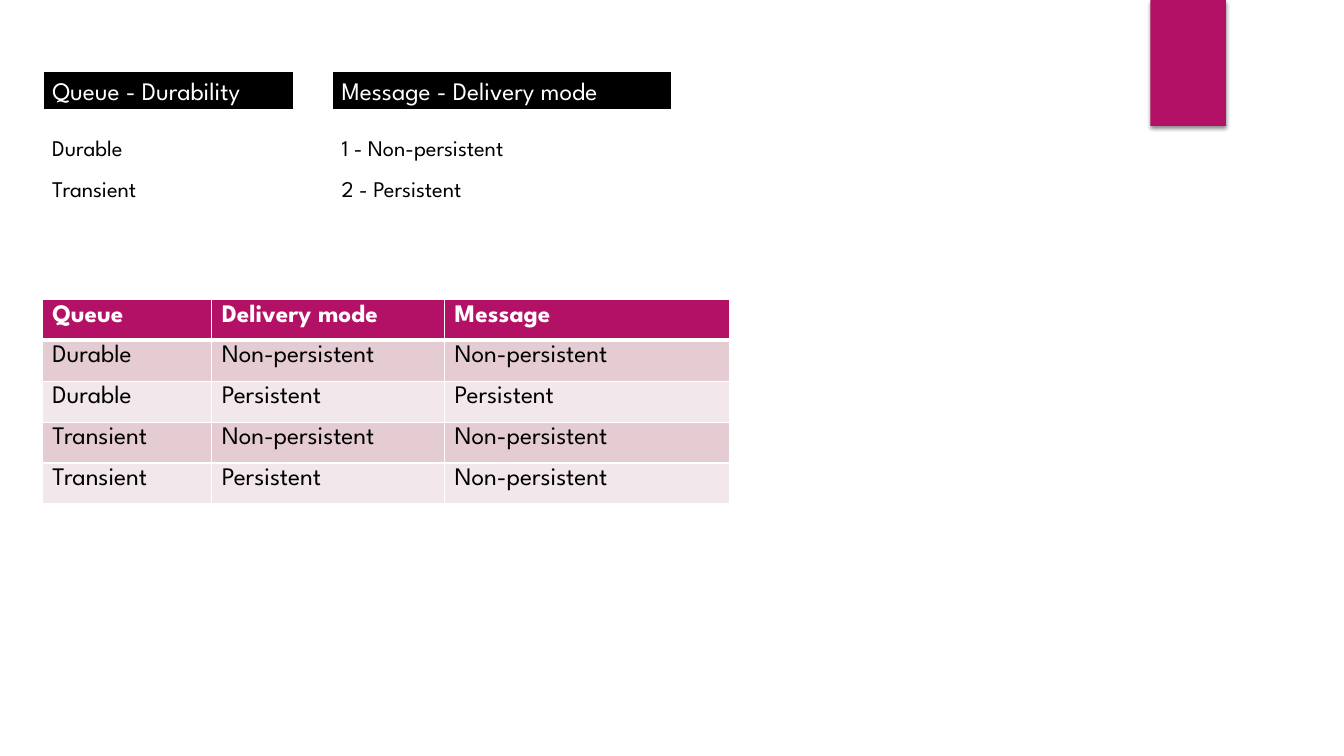
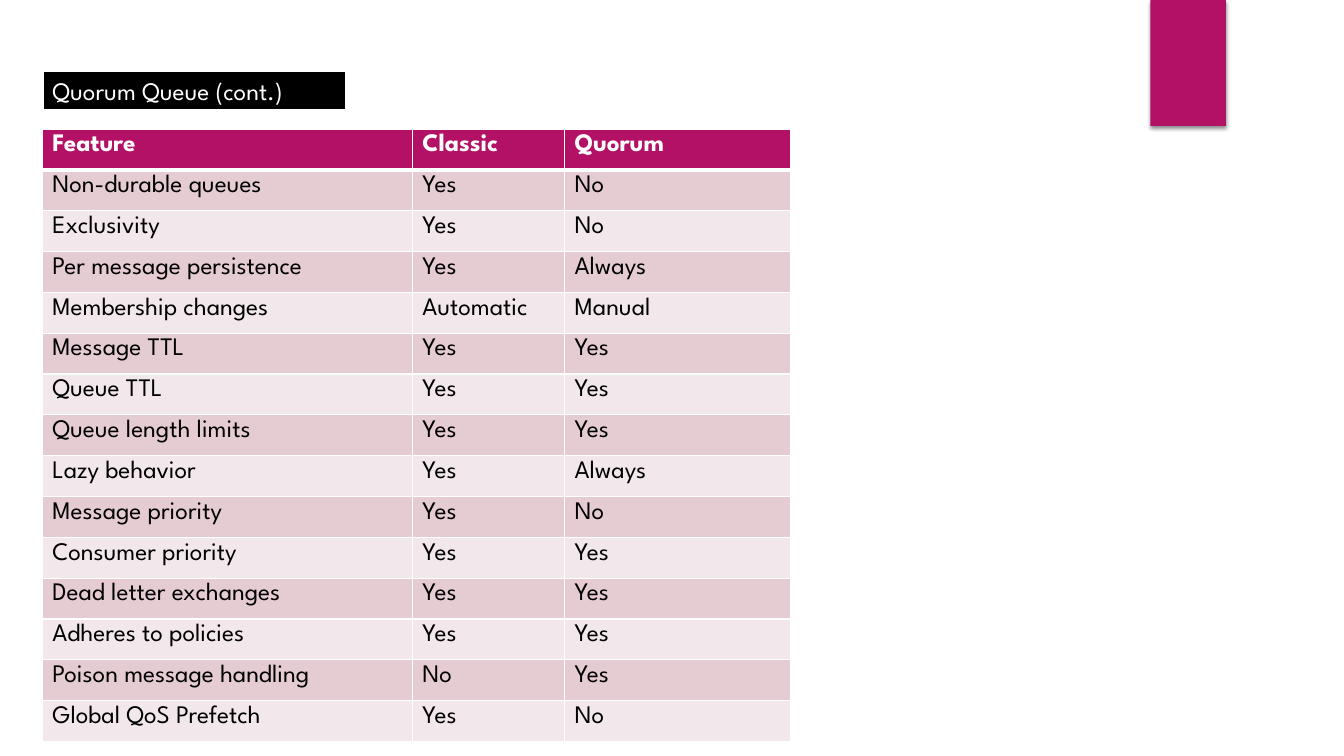
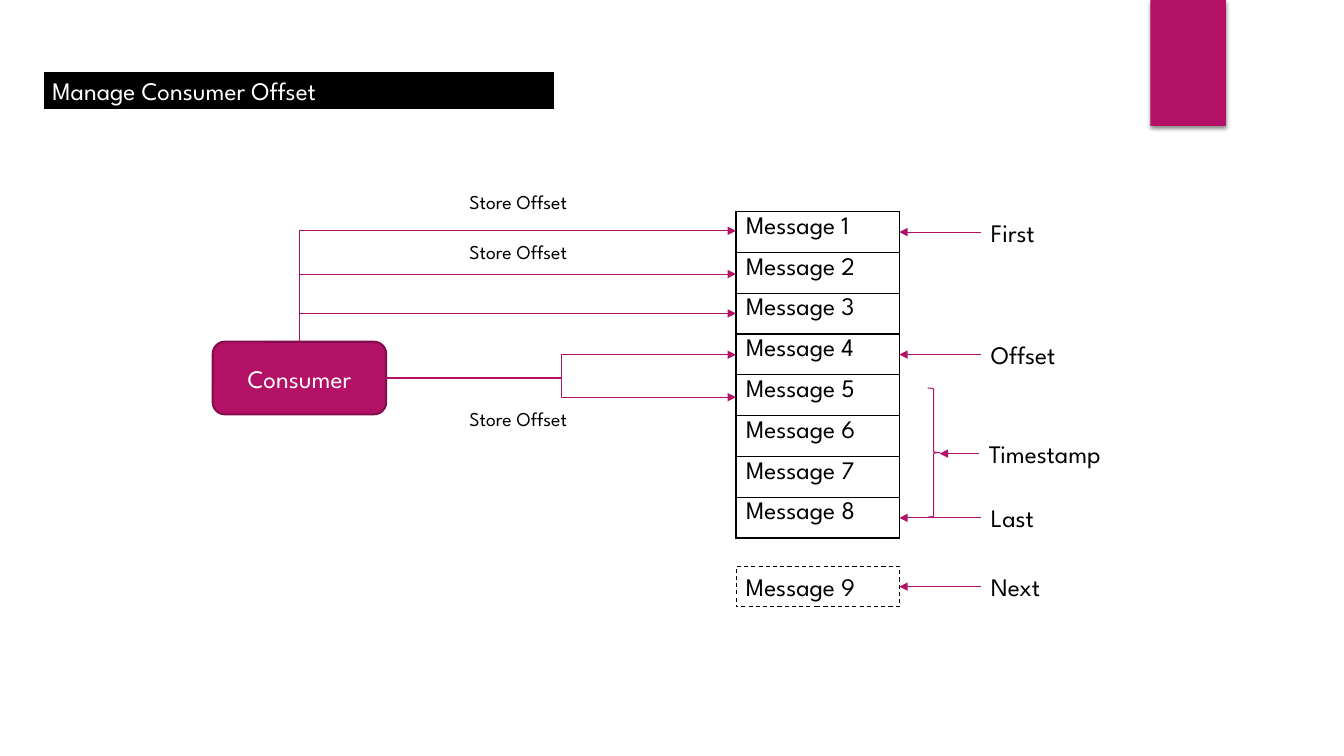
from dataclasses import dataclass

from lxml import etree
from pptx import Presentation
from pptx import util as u
from pptx.dml.color import RGBColor
from pptx.enum import dml, shapes, text
from pptx.oxml import parse_xml
from pptx.oxml.ns import nsdecls, qn


@dataclass(frozen=True)
class Theme:
    font: str = "League Spartan"
    accent: str = "B31166"
    accent_dark: str = "840D4B"
    band_odd: str = "E5CCD3"
    band_even: str = "F2E7EA"
    black: str = "000000"
    white: str = "FFFFFF"
    heading: int = 18
    option: int = 16
    caption: int = 14


T = Theme()
RGB = RGBColor.from_string
I = u.Inches
LEFT, BAR_TOP, BOX_H = 0.42, 0.7, 0.4


def put_text(tf, words, size=T.heading, color=T.black, bold=False,
             align=text.PP_ALIGN.LEFT):
    """Write one formatted line into a text frame."""
    tf.word_wrap = True
    p = tf.paragraphs[0]
    p.alignment = align
    r = p.add_run()
    r.text = words
    r.font.name, r.font.size, r.font.bold = T.font, u.Pt(size), bold
    r.font.color.rgb = RGB(color)


def add_grid(s, left, top, widths, height, rows, border, header=True):
    """Add a table with equal rows, drawn borders and optional header."""
    tbl = s.shapes.add_table(len(rows), len(widths), I(left), I(top),
                             I(sum(widths)), I(height)).table
    tbl.first_row, tbl.horz_banding = header, False
    for col, w in zip(tbl.columns, widths):
        col.width = I(w)
    for i, row in enumerate(rows):
        tbl.rows[i].height = I(height / len(rows))
        is_head = header and i == 0
        for j, words in enumerate(row):
            cell = tbl.cell(i, j)
            tcPr = cell._tc.get_or_add_tcPr()
            for side in "LRTB":
                thick = (side == "B" and is_head) or (side == "T" and header and i == 1)
                tcPr.append(parse_xml(
                    f'<a:ln{side} {nsdecls("a")} w="{u.Pt(3 if thick else 1)}"><a:solidFill>'
                    f'<a:srgbClr val="{border}"/></a:solidFill></a:ln{side}>'))
            if header:
                cell.fill.solid()
                cell.fill.fore_color.rgb = RGB(
                    T.accent if is_head else T.band_odd if i % 2 else T.band_even)
            else:
                cell.fill.background()
            put_text(cell.text_frame, words, bold=is_head,
                     color=T.white if is_head else T.black)


prs = Presentation()
prs.slide_width, prs.slide_height = I(13.33), I(7.5)
layout = prs.slide_layouts[5]

# Slides with their title bars
titles = [("Queue - Durability", 2.5), ("Quorum Queue (cont.)", 3.02),
          ("Manage Consumer Offset", 5.09)]
bars = []
for words, width in titles:
    s = prs.slides.add_slide(layout)
    bars.append((s.shapes.title, words, LEFT, width))
durability, quorum, offset = prs.slides

delivery_bar = durability.shapes.add_shape(shapes.MSO_SHAPE.RECTANGLE, 0, 0, 1, 1)
bars.append((delivery_bar, "Message - Delivery mode", 3.29, 3.38))
for sp, words, left, width in bars:
    sp.left, sp.top, sp.width, sp.height = I(left), I(BAR_TOP), I(width), I(BOX_H)
    sp.shadow.inherit = False
    sp.fill.solid()
    sp.fill.fore_color.rgb = RGB(T.black)
    sp.line.color.rgb, sp.line.width = RGB(T.white), u.Pt(2.25)
    sp.text_frame.auto_size = text.MSO_AUTO_SIZE.NONE
    sp.text_frame.vertical_anchor = text.MSO_ANCHOR.MIDDLE
    put_text(sp.text_frame, words, color=T.white)

# Corner band, moved to the shared layout
band = durability.shapes.add_shape(shapes.MSO_SHAPE.RECTANGLE,
                                   I(11.41), 0, I(0.75), I(1.25))
band.fill.solid()
band.fill.fore_color.rgb = RGB(T.accent)
band.line.fill.background()
band.element.spPr.append(parse_xml(
    f'<a:effectLst {nsdecls("a")}><a:outerShdw blurRad="{u.Pt(3)}" dist="{u.Pt(2)}" '
    f'dir="5400000" rotWithShape="0"><a:srgbClr val="{T.black}"><a:alpha val="45000"/>'
    '</a:srgbClr></a:outerShdw></a:effectLst>'))
layout.shapes.element.append(band.element)

# Slide 1: options and resulting persistence
labels = []
for left, width, options in [(LEFT, 2.04, ["Durable", "Transient"]),
                             (3.29, 2.33, ["1 - Non-persistent", "2 - Persistent"])]:
    for i, words in enumerate(options):
        tb = durability.shapes.add_textbox(I(left), I(1.28 + 0.41 * i), I(width), I(0.37))
        tb.text_frame.vertical_anchor = text.MSO_ANCHOR.MIDDLE
        put_text(tb.text_frame, words, size=T.option)

add_grid(durability, LEFT, 2.97, [1.68, 2.31, 2.83], 2.03, [
    ("Queue", "Delivery mode", "Message"),
    ("Durable", "Non-persistent", "Non-persistent"),
    ("Durable", "Persistent", "Persistent"),
    ("Transient", "Non-persistent", "Non-persistent"),
    ("Transient", "Persistent", "Non-persistent"),
], T.white)

# Slide 2: feature comparison
add_grid(quorum, LEFT, 1.28, [3.67, 1.51, 2.24], 6.08, [
    ("Feature", "Classic", "Quorum"),
    ("Non-durable queues", "Yes", "No"),
    ("Exclusivity", "Yes", "No"),
    ("Per message persistence", "Yes", "Always"),
    ("Membership changes", "Automatic", "Manual"),
    ("Message TTL", "Yes", "Yes"),
    ("Queue TTL", "Yes", "Yes"),
    ("Queue length limits", "Yes", "Yes"),
    ("Lazy behavior", "Yes", "Always"),
    ("Message priority", "Yes", "No"),
    ("Consumer priority", "Yes", "Yes"),
    ("Dead letter exchanges", "Yes", "Yes"),
    ("Adheres to policies", "Yes", "Yes"),
    ("Poison message handling", "No", "Yes"),
    ("Global QoS Prefetch", "Yes", "No"),
], T.white)

# Slide 3: consumer and message log
s = offset
log_left, log_top, log_w, log_h = 7.3, 2.1, 1.62, 3.24
log_right, row_h = log_left + log_w, log_h / 8
consumer = s.shapes.add_shape(shapes.MSO_SHAPE.ROUNDED_RECTANGLE,
                              I(2.11), I(3.39), I(1.72), I(0.72))
consumer.shadow.inherit = False
consumer.fill.solid()
consumer.fill.fore_color.rgb = RGB(T.accent)
consumer.line.color.rgb, consumer.line.width = RGB(T.accent_dark), u.Pt(1.5)
put_text(consumer.text_frame, "Consumer", color=T.white, align=text.PP_ALIGN.CENTER)

add_grid(s, log_left, log_top, [log_w], log_h,
         [(f"Message {n}",) for n in range(1, 9)], T.black, header=False)

next_message = s.shapes.add_shape(shapes.MSO_SHAPE.RECTANGLE,
                                  I(log_left), I(5.62), I(log_w), I(BOX_H))
brace = s.shapes.add_shape(shapes.MSO_SHAPE.RIGHT_BRACE, I(9.2), I(3.85), I(0.12), I(1.28))
for sp, color in [(next_message, T.black), (brace, T.accent)]:
    sp.shadow.inherit = False
    sp.fill.background()
    sp.line.color.rgb, sp.line.width = RGB(color), u.Pt(0.75)
next_message.line.dash_style = dml.MSO_LINE.DASH
put_text(next_message.text_frame, "Message 9")

# Start positions on the right, each with its arrow
links = []
for words, left, width, y, tip in [
        ("First", 9.73, 0.75, log_top + row_h / 2, log_right),
        ("Offset", 9.73, 0.97, log_top + row_h * 3.5, log_right),
        ("Timestamp", 9.71, 1.54, 4.5, 9.32),
        ("Last", 9.73, 0.75, log_top + row_h * 7.5, log_right),
        ("Next", 9.73, 0.75, 5.82, log_right)]:
    tb = s.shapes.add_textbox(I(left), I(y - BOX_H / 2), I(width), I(BOX_H))
    tb.text_frame.vertical_anchor = text.MSO_ANCHOR.MIDDLE
    put_text(tb.text_frame, words)
    c = s.shapes.add_connector(shapes.MSO_CONNECTOR.STRAIGHT, I(left), I(y), I(tip), I(y))
    c.begin_connect(tb, 1)
    if words == "Next":
        c.end_connect(next_message, 3)
    links.append(c)

# One-bend arrows from the top of the consumer: a quarter turn, flipped both ways
start_x, start_y = 2.97, 3.39
for y in (2.29, 2.72, 3.11):
    run, rise = log_left - start_x, start_y - y
    cx, cy = start_x + run / 2, y + rise / 2
    c = s.shapes.add_connector(shapes.MSO_CONNECTOR.ELBOW,
                               I(cx - rise / 2), I(cy - run / 2),
                               I(cx + rise / 2), I(cy + run / 2))
    xfrm = c.element.spPr.find(qn("a:xfrm"))
    for key, value in [("rot", "5400000"), ("flipH", "1"), ("flipV", "1")]:
        xfrm.set(key, value)
    c.element.spPr.find(qn("a:prstGeom")).set("prst", "bentConnector2")
    links.append(c)

# Two-bend arrows from the side of the consumer
for y in (3.52, 3.94):
    links.append(s.shapes.add_connector(shapes.MSO_CONNECTOR.ELBOW,
                                        I(3.83), I(3.75), I(log_left), I(y)))

for c in links:
    c.line.color.rgb, c.line.width = RGB(T.accent), u.Pt(0.75)
    etree.SubElement(c.line._get_or_add_ln(), qn("a:tailEnd"), type="triangle")
    etree.SubElement(c.element.spPr, qn("a:effectLst"))

# Arrow captions
for y in (1.83, 2.33, 3.98):
    tb = s.shapes.add_textbox(I(4.49), I(y), I(1.3), I(0.34))
    tb.text_frame.vertical_anchor = text.MSO_ANCHOR.MIDDLE
    put_text(tb.text_frame, "Store Offset", size=T.caption, align=text.PP_ALIGN.CENTER)

prs.save("out.pptx")
